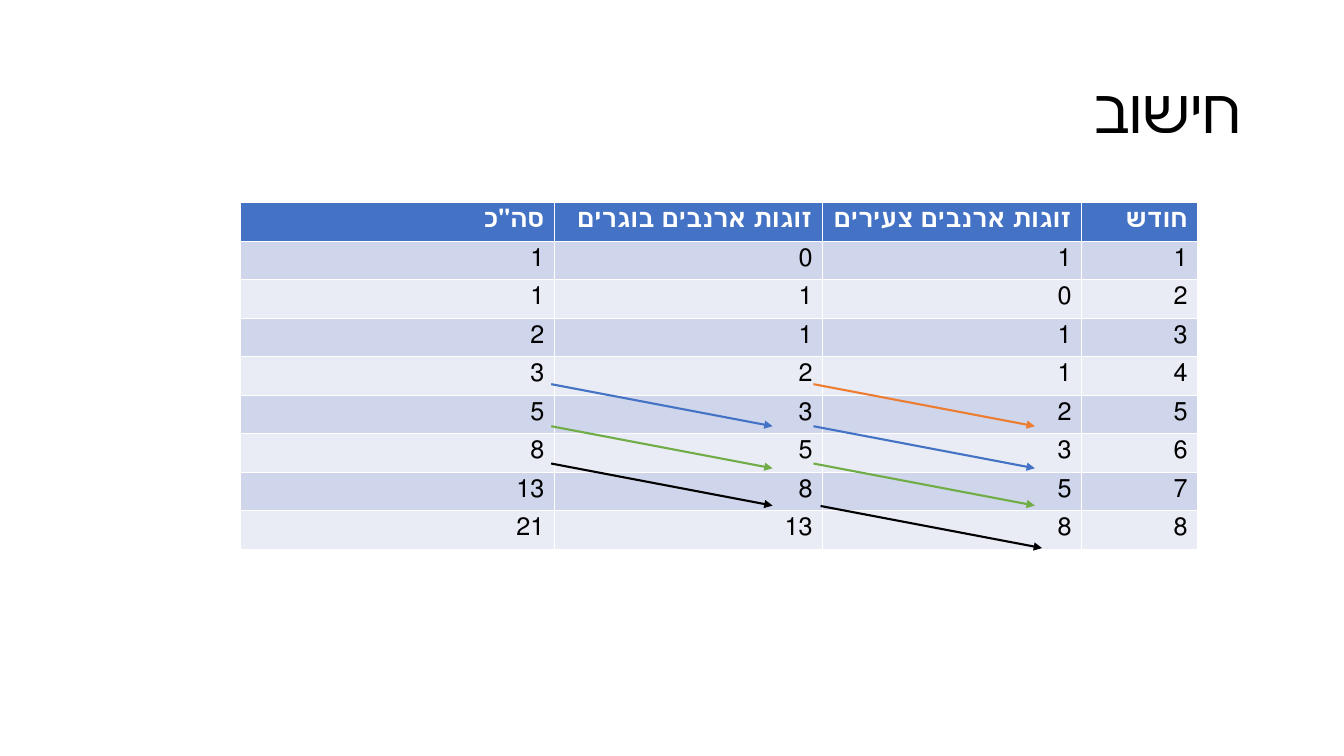
from lxml import etree
from pptx import Presentation
from pptx.dml.color import RGBColor
from pptx.enum.shapes import MSO_CONNECTOR
from pptx.enum.text import MSO_ANCHOR, PP_ALIGN
from pptx.oxml.ns import qn
from pptx.util import Cm, Pt

LINE = MSO_CONNECTOR.STRAIGHT
MIDDLE = MSO_ANCHOR.MIDDLE
RIGHT = PP_ALIGN.RIGHT

HUES = {
    "black": "000000",
    "white": "FFFFFF",
    "blue": "4472C4",
    "orange": "ED7D31",
    "green": "70AD47",
    "dark": "CFD5EA",
    "light": "E9EBF5",
}
TITLE = {"name": "Calibri", "size": Pt(44), "bold": False}
HEAD = {"name": "Calibri", "size": Pt(18), "bold": True}
BODY = {**HEAD, "bold": False}

WIDTHS = [7.9, 6.76, 6.53, 2.92]
HIGH = 0.97
ROWS = [
    ['סה"כ', "זוגות ארנבים בוגרים", "זוגות ארנבים צעירים", "חודש"],
    [1, 0, 1, 1],
    [1, 1, 0, 2],
    [2, 1, 1, 3],
    [3, 2, 1, 4],
    [5, 3, 2, 5],
    [8, 5, 3, 6],
    [13, 8, 5, 7],
    [21, 13, 8, 8],
]

STEP = (5.58, 1.06)
ARROWS = [
    (20.5, 9.68, "orange"),
    (13.89, 9.68, "blue"),
    (20.5, 10.74, "blue"),
    (13.89, 10.74, "green"),
    (20.5, 11.68, "green"),
    (13.89, 11.68, "black"),
    (20.68, 12.75, "black"),
]


def tint(name):
    """Return the named colour."""
    return RGBColor.from_string(HUES[name])


class Deck:
    """Hold the style and the current slide."""

    def __init__(self):
        """Open a wide deck with one title slide."""
        self.deck = Presentation()
        self.deck.slide_width = Cm(33.87)
        self.deck.slide_height = Cm(19.05)
        self.slide = self.deck.slides.add_slide(self.deck.slide_layouts[5])

    def label(self, frame, text, style, hue):
        """Fill a frame with one right-to-left paragraph."""
        frame.text = str(text)
        para = frame.paragraphs[0]
        para.alignment = RIGHT
        para._p.get_or_add_pPr().set("rtl", "1")
        font = para.runs[0].font
        for key, value in style.items():
            setattr(font, key, value)
        font.color.rgb = tint(hue)
        return para

    def title(self, text, *box):
        """Place and fill the title."""
        shape = self.slide.shapes.title
        for key, value in zip(("left", "top", "width", "height"), box):
            setattr(shape, key, Cm(value))
        shape.text_frame.vertical_anchor = MIDDLE
        self.label(shape.text_frame, text, TITLE, "black").line_spacing = 0.9

    def table(self, rows, widths, high, left, top):
        """Draw a banded table with a header row."""
        grid = self.slide.shapes.add_table(
            len(rows), len(widths), Cm(left), Cm(top),
            Cm(sum(widths)), Cm(high * len(rows))).table
        for col, width in zip(grid.columns, widths):
            col.width = Cm(width)
        for i, row in enumerate(rows):
            grid.rows[i].height = Cm(high)
            band = ("dark" if i % 2 else "light") if i else "blue"
            style, hue = (BODY, "black") if i else (HEAD, "white")
            for j, text in enumerate(row):
                cell = grid.cell(i, j)
                cell.fill.solid()
                cell.fill.fore_color.rgb = tint(band)
                self.label(cell.text_frame, text, style, hue)

    def arrow(self, left, top, hue):
        """Draw an arrow one step right and down."""
        line = self.slide.shapes.add_connector(
            LINE, Cm(left), Cm(top), Cm(left + STEP[0]), Cm(top + STEP[1]))
        line.line.color.rgb = tint(hue)
        line.line.width = Pt(1.5)
        props = line._element.spPr
        etree.SubElement(props.find(qn("a:ln")), qn("a:tailEnd"), type="triangle")
        etree.SubElement(props, qn("a:effectLst"))

    def save(self):
        """Save the deck."""
        self.deck.save("out.pptx")


def main():
    """Build and save the slide."""
    deck = Deck()
    deck.title("חישוב", 2.33, 1.02, 29.21, 3.68)
    deck.table(ROWS, WIDTHS, HIGH, 6.07, 5.11)
    for arrow in ARROWS:
        deck.arrow(*arrow)
    deck.save()


if __name__ == "__main__":
    main()
